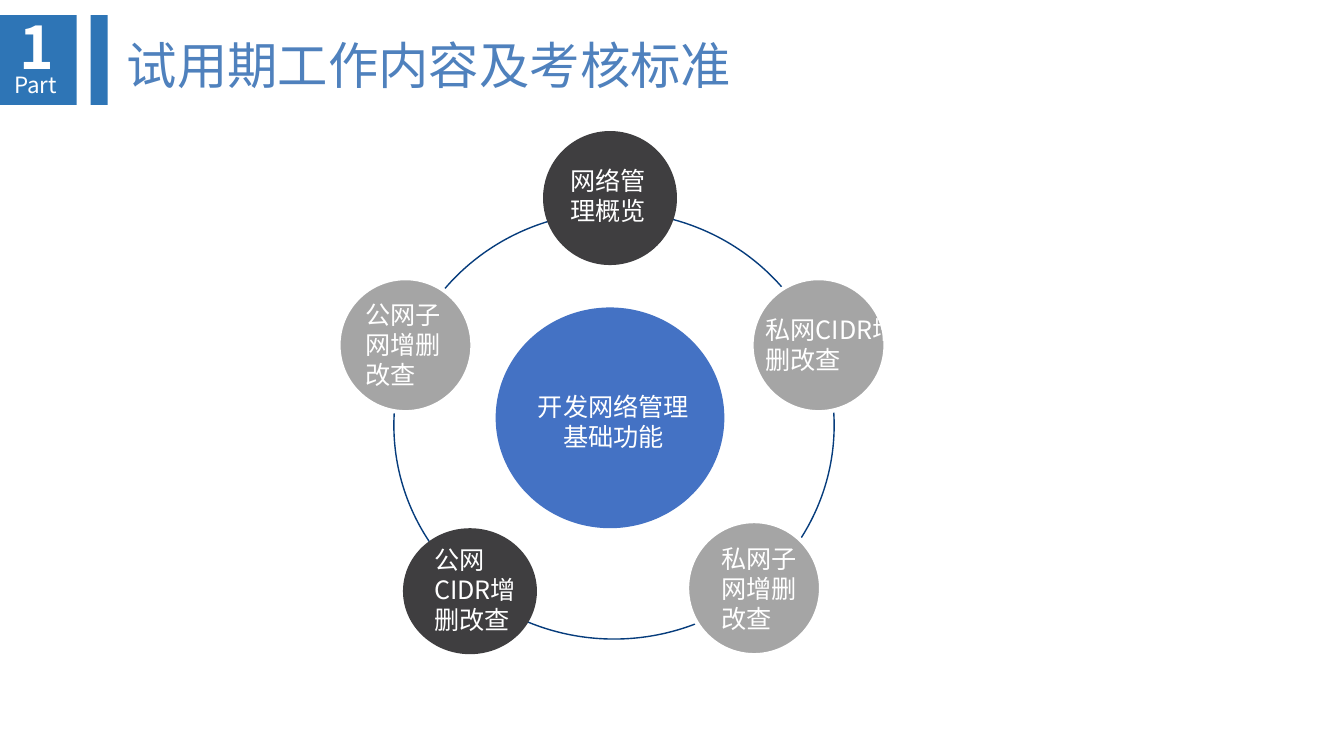
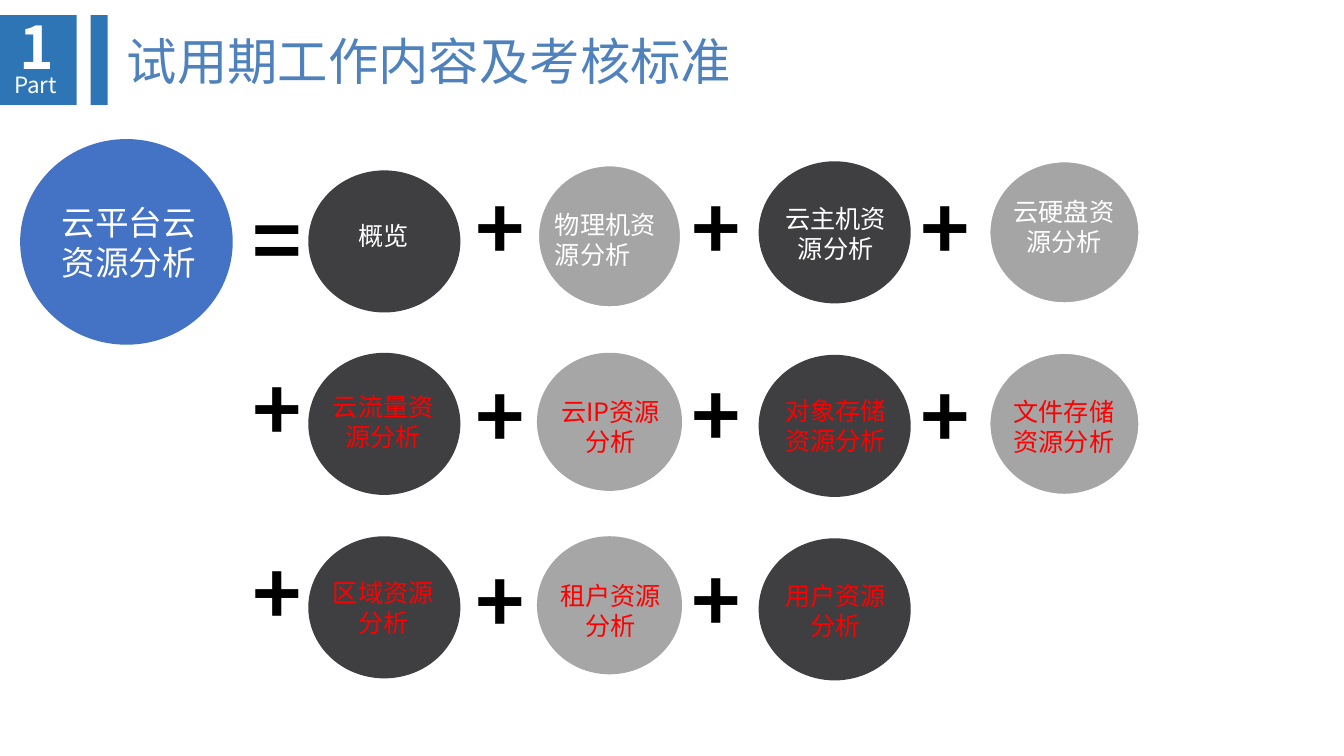
"""Build two slides on probation work: a ring of network tasks and a sum of cloud resources."""
from pptx import Presentation
from pptx import util as u
from pptx.dml.color import RGBColor
from pptx.enum import shapes, text
from pptx.oxml.ns import qn
from lxml import etree

SLIDE_WIDTH, SLIDE_HEIGHT = u.Inches(13.34), u.Inches(7.5)
COLUMN, ROW = SLIDE_WIDTH / 133.4, SLIDE_HEIGHT / 75
FONT = "Noto Sans CJK SC"
TITLE = "试用期工作内容及考核标准"

WHITE = RGBColor(0xFF, 0xFF, 0xFF)
BLACK = RGBColor(0x00, 0x00, 0x00)
RED = RGBColor(0xFF, 0x00, 0x00)
TITLE_BLUE = RGBColor(0x4F, 0x81, 0xBD)
BAND_BLUE = RGBColor(0x2E, 0x75, 0xB6)
HUB_BLUE = RGBColor(0x44, 0x72, 0xC4)
RING_NAVY = RGBColor(0x06, 0x3C, 0x7C)
DARK = RGBColor(0x3F, 0x3E, 0x40)
GREY = RGBColor(0xA5, 0xA5, 0xA5)
SILVER = RGBColor(0xA6, 0xA6, 0xA6)

DISC_HEIGHTS = {DARK: 14.1, GREY: 14.3, SILVER: 13.7}
ROW_PITCH = 18.2

# Each term column: disc left, disc width, label left, label width, operator left.
TERM_COLUMNS = [
    (28.6, 15.1, 29.2, 13.7, 22.1),
    (51.3, 14.4, 52.1, 13, 44.2),
    (73.3, 15.1, 74.1, 13.7, 65.7),
    (96.1, 15.1, 97.4, 12.4, 88.4),
]


def inside(box, left, top, width, height):
    """Return a grid box placed from the corner of another box."""
    return box[0] + left, box[1] + top, width, height


def to_lengths(box):
    """Turn a grid box into slide lengths."""
    left, top, width, height = box
    return [u.Emu(round(cells * unit)) for cells, unit in
            ((left, COLUMN), (top, ROW), (width, COLUMN), (height, ROW))]


def add_text(slide, content, box, size=18, color=WHITE, bold=False, centered=False,
             middle=False, wrap=True, inset=0.1, spacing=1.2):
    """Add one paragraph of text in a box."""
    frame = slide.shapes.add_textbox(*to_lengths(box)).text_frame
    frame.word_wrap = wrap
    frame.margin_left = frame.margin_right = u.Inches(inset)
    frame.margin_top = frame.margin_bottom = u.Inches(0.05)
    frame.vertical_anchor = text.MSO_ANCHOR.MIDDLE if middle else text.MSO_ANCHOR.TOP
    paragraph = frame.paragraphs[0]
    paragraph.alignment = text.PP_ALIGN.CENTER if centered else text.PP_ALIGN.LEFT
    paragraph.line_spacing = u.Pt(size * spacing)
    run = paragraph.add_run()
    run.text = content
    font = run.font
    font.size, font.bold, font.name = u.Pt(size), bold, FONT
    font.color.rgb = color
    latin = run._r.rPr.find(qn("a:latin"))
    east_asian = etree.Element(qn("a:ea"), typeface=FONT)
    latin.addnext(east_asian)


def add_figure(slide, box, fill=None, line=None, line_width=1, kind=shapes.MSO_SHAPE.OVAL):
    """Add a plain shape with an optional fill and outline."""
    shape = slide.shapes.add_shape(kind, *to_lengths(box))
    shape.shadow.inherit = False
    if fill is None:
        shape.fill.background()
    else:
        shape.fill.solid()
        shape.fill.fore_color.rgb = fill
    if line is None:
        shape.line.fill.background()
    else:
        shape.line.color.rgb = line
        shape.line.width = u.Pt(line_width)


def add_disc(slide, box, fill):
    """Add a disc, with a white rim if it is grey."""
    add_figure(slide, box, fill, WHITE if fill == GREY else None, 3)


def add_header(slide, box):
    """Draw the part badge, the bar and the slide title."""
    for left, width in ((-0.1, 7.7), (9, 1.7)):
        add_figure(slide, inside(box, left, 1.5, width, 8.9), BAND_BLUE,
                   kind=shapes.MSO_SHAPE.RECTANGLE)
    add_text(slide, "1", inside(box, 1.4, 0.6, 3.6, 8), size=42, bold=True, inset=0.05)
    add_text(slide, "Part", inside(box, 0.9, 6.6, 6.3, 3.7), size=16, inset=0.05)
    add_text(slide, TITLE, inside(box, 11.6, 0.4, 120, box[3]), size=36,
             color=TITLE_BLUE, middle=True, spacing=1.08)


def add_task_ring(slide, box):
    """Draw the hub, the ring and the five task discs around it."""
    tasks = [
        ("网络管理概览", DARK, (20.3, 0, 13.3, 13.3), (22, 2.9, 10.7, 7)),
        ("私网CIDR增删改查", GREY, (41, 14.6, 13.3, 13.3), (41.4, 17.7, 15.2, 7)),
        ("私网子网增删改查", GREY, (34.6, 38.7, 13.3, 13.3), (37, 40.4, 10.7, 10)),
        ("公网CIDR增删改查", DARK, (6.4, 39.4, 13.3, 12.5), (8.5, 40.5, 11.6, 10)),
        ("公网子网增删改查", GREY, (0, 14.6, 13.3, 13.3), (1.7, 16.2, 11.2, 10)),
    ]
    add_figure(slide, inside(box, 5.5, 8, 43.7, 42.4), line=RING_NAVY)
    add_disc(slide, inside(box, 15.6, 17.5, 22.7, 21.9), HUB_BLUE)
    add_text(slide, "开发网络管理基础功能", inside(box, 18.5, 25.3, 17.6, 7), centered=True)
    for label, fill, disc, label_box in tasks:
        add_disc(slide, inside(box, *disc), fill)
        add_text(slide, label, inside(box, *label_box))


def add_term_row(slide, box, terms, color):
    """Draw one row of operators and term discs."""
    for place, term in zip(TERM_COLUMNS, terms):
        disc_left, disc_width, label_left, label_width, operator_left = place
        operator, operator_top, label, fill, disc_top, label_top = term
        add_text(slide, operator, inside(box, operator_left, operator_top, 6.7, 11),
                 size=60, color=BLACK, bold=True, wrap=False)
        add_disc(slide, inside(box, disc_left, disc_top, disc_width, DISC_HEIGHTS[fill]), fill)
        add_text(slide, label, inside(box, label_left, label_top, label_width, 7),
                 color=color, centered=label != "物理机资源分析")


def add_resource_sum(slide, box):
    """Draw the total disc and the rows of terms that make it up."""
    rows = [
        (WHITE, [("=", 1.4, "概览", DARK, 0.1, 4.6),
                 ("+", 0.2, "物理机资源分析", GREY, -0.5, 3.5),
                 ("+", 0.2, "云主机资源分析", DARK, -0.8, 2.9),
                 ("+", 0.2, "云硬盘资源分析", GREY, -0.9, 2.2)]),
        (RED, [("+", 0, "云流量资源分析", DARK, 0, 3.3),
               ("+", 0.7, "云IP资源分析", SILVER, 0, 3.8),
               ("+", 0.6, "对象存储资源分析", DARK, 0.2, 3.7),
               ("+", 0.7, "文件存储资源分析", GREY, -0.1, 3.8)]),
        (RED, [("+", 0, "区域资源分析", DARK, 0, 3.6),
               ("+", 0.8, "租户资源分析", SILVER, 0, 3.9),
               ("+", 0.7, "用户资源分析", DARK, 0.2, 3.9)]),
    ]
    add_disc(slide, inside(box, 0, 0, 21.1, 20.4), HUB_BLUE)
    add_text(slide, "云平台云资源分析", inside(box, 2, 5.7, 17.6, 9), size=24, centered=True)
    for index, (color, terms) in enumerate(rows):
        row_box = inside(box, 0, 3 + index * ROW_PITCH, box[2], ROW_PITCH)
        add_term_row(slide, row_box, terms, color)


def main():
    """Build and save the presentation."""
    presentation = Presentation()
    presentation.slide_width, presentation.slide_height = SLIDE_WIDTH, SLIDE_HEIGHT
    pages = [
        (12.5, add_task_ring, (33.6, 13, 54.3, 52)),
        (11.7, add_resource_sum, (2, 13.8, 111.2, 53.7)),
    ]
    for header_height, add_body, body_box in pages:
        slide = presentation.slides.add_slide(presentation.slide_layouts[6])
        add_header(slide, (0, 0, 133.4, header_height))
        add_body(slide, body_box)
    presentation.save("out.pptx")


if __name__ == "__main__":
    main()
